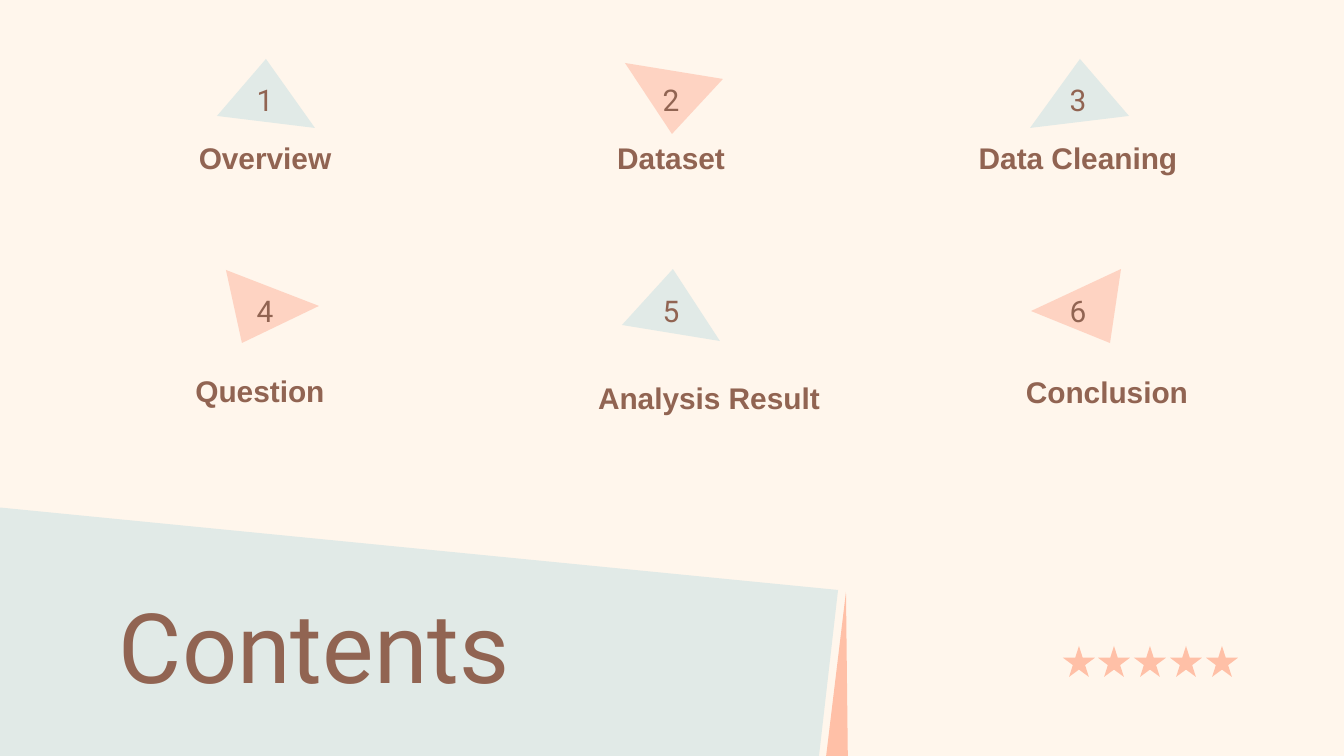
from dataclasses import dataclass

import pptx
import pptx.dml.color
import pptx.enum.shapes
import pptx.enum.text
import pptx.util

EMU_PER_PX = 914400 / 134.4


@dataclass(frozen=True)
class Theme:
    background: str = "FFF6EC"
    mist: str = "E1EAE7"
    peach: str = "FED3C2"
    coral: str = "FFC0A7"
    ink: str = "916452"
    title_font: str = "Roboto"
    label_font: str = "Arial"
    title_size: int = 52
    item_size: int = 16


THEME = Theme()

# Number centres: columns and rows of the grid
COLUMNS = (265, 671, 1078)
ROWS = (100, 311)

# Name, centre of the name, triangle colour, triangle corners
ITEMS = (
    ("Overview", (265, 158), THEME.mist, ((217, 116), (266, 59), (315, 128))),
    ("Dataset", (671, 158), THEME.peach, ((723, 79), (672, 134), (625, 63))),
    ("Data Cleaning", (1078, 158), THEME.mist, ((1129, 116), (1080, 59), (1030, 128))),
    ("Question", (260, 391), THEME.peach, ((226, 270), (242, 343), (319, 306))),
    ("Analysis Result", (709, 398), THEME.mist, ((622, 325), (673, 269), (720, 341))),
    ("Conclusion", (1107, 392), THEME.peach, ((1121, 269), (1110, 343), (1031, 311))),
)


def px(n):
    return pptx.util.Emu(round(n * EMU_PER_PX))


def rgb(code):
    return pptx.dml.color.RGBColor.from_string(code)


def paint(sp, color):
    sp.shadow.inherit = False
    sp.fill.solid()
    sp.fill.fore_color.rgb = rgb(color)
    sp.line.fill.background()


def add_polygon(s, points, color):
    start, *rest = [(px(x), px(y)) for x, y in points]
    builder = s.shapes.build_freeform(*start)
    builder.add_line_segments(rest, close=True)
    paint(builder.convert_to_shape(), color)


def add_star(s, x, y, w, h):
    star = pptx.enum.shapes.MSO_SHAPE.STAR_5_POINT
    sp = s.shapes.add_shape(star, px(x), px(y), px(w), px(h))
    paint(sp, THEME.coral)


def add_text(s, text, x, y, w, h, *, size, font, bold=False, centered=True):
    tf = s.shapes.add_textbox(px(x), px(y), px(w), px(h)).text_frame
    tf.word_wrap = True
    tf.vertical_anchor = pptx.enum.text.MSO_ANCHOR.MIDDLE
    tf.margin_left = tf.margin_right = tf.margin_top = tf.margin_bottom = px(13)
    p = tf.paragraphs[0]
    align = pptx.enum.text.PP_ALIGN
    p.alignment = align.CENTER if centered else align.LEFT
    r = p.add_run()
    r.text = text
    r.font.size = pptx.util.Pt(size)
    r.font.name = font
    r.font.bold = bold
    r.font.color.rgb = rgb(THEME.ink)


def add_centered_text(s, text, center, w, h, **style):
    x, y = center
    add_text(s, text, x - w / 2, y - h / 2, w, h, size=THEME.item_size, **style)


def add_item(s, index, name, name_center, color, corners):
    row, column = divmod(index, len(COLUMNS))
    add_polygon(s, corners, color)
    add_centered_text(s, name, name_center, 321, 42,
                      font=THEME.label_font, bold=True)
    add_centered_text(s, str(index + 1), (COLUMNS[column], ROWS[row]), 117, 42,
                      font=THEME.title_font)


def main():
    prs = pptx.Presentation()
    prs.slide_width, prs.slide_height = px(1344), px(756)
    s = prs.slides.add_slide(prs.slide_layouts[6])
    s.background.fill.solid()
    s.background.fill.fore_color.rgb = rgb(THEME.background)

    # Title banner with its narrow edge
    add_polygon(s, ((817, 773), (-40, 770), (-46, 503), (838, 590)), THEME.mist)
    add_polygon(s, ((846, 592), (848, 772), (824, 774)), THEME.coral)

    # Row of five stars, 143 px from first to last
    for i in range(5):
        add_star(s, 1063 + 143 * i // 4, 646, 32, 31)

    # Numbered contents
    for index, item in enumerate(ITEMS):
        add_item(s, index, *item)

    # Title
    add_text(s, "Contents", 106, 569, 1133, 151, size=THEME.title_size,
             font=THEME.title_font, centered=False)

    prs.save("out.pptx")


if __name__ == "__main__":
    main()
